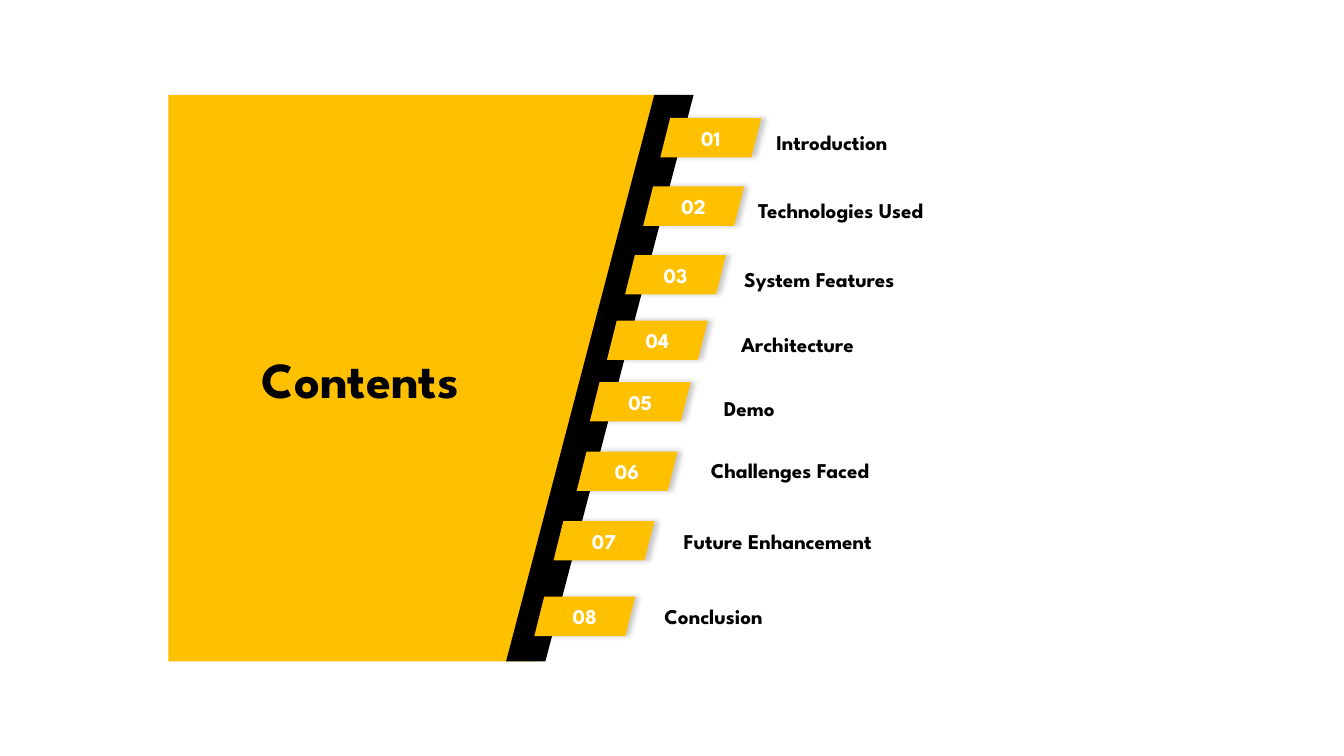
from lxml.etree import SubElement
from pptx import Presentation
from pptx.dml.color import RGBColor as Rgb
from pptx.enum.shapes import MSO_SHAPE as Kind
from pptx.enum.text import MSO_ANCHOR as Anchor, PP_ALIGN as Align
from pptx.oxml.ns import qn
from pptx.util import Pt

PX = 9144  # 100 px to the inch
GOLD, BLACK, WHITE = "FFC000", "000000", "FFFFFF"
FONT = {"name": "League Spartan", "bold": True}
FRAME = {"word_wrap": True, "margin_left": 0, "margin_right": 0,
         "margin_top": 0, "margin_bottom": 0}

# Tag left and top, label left and top, wording
ITEMS = [
    (655, 117, 770, 128, "Introduction"),
    (638, 185, 752, 196, "Technologies Used"),
    (620, 253, 738, 264, "System Features"),
    (602, 318, 735, 329, "Architecture"),
    (585, 379, 718, 392, "Demo"),
    (572, 448, 705, 454, "Challenges Faced"),
    (549, 517, 678, 524, "Future Enhancement"),
    (530, 592, 659, 599, "Conclusion"),
]


def emu(*sizes):
    return [size * PX for size in sizes]


def color(code):
    return Rgb.from_string(code)


def paint(shape, code):
    shape.shadow.inherit = False
    shape.fill.solid()
    shape.fill.fore_color.rgb = color(code)
    shape.line.fill.background()


def write(shape, text, size, code, align, anchor):
    frame = shape.text_frame
    for key, value in {**FRAME, "vertical_anchor": anchor}.items():
        setattr(frame, key, value)
    para = frame.paragraphs[0]
    para.alignment = align
    run = para.add_run()
    run.text = text
    for key, value in {**FONT, "size": Pt(size)}.items():
        setattr(run.font, key, value)
    run.font.color.rgb = color(code)


def outline(slide, points, code):
    pen = slide.shapes.build_freeform(*points[0], scale=PX)
    pen.add_line_segments(points[1:], close=True)
    paint(pen.convert_to_shape(), code)


def shade(shape):
    # Soft shadow to the right
    effects = shape._element.spPr.find(qn("a:effectLst"))
    outer = SubElement(effects, qn("a:outerShdw"), blurRad=str(Pt(4)),
                       dist=str(Pt(3)), dir="0", algn="l", rotWithShape="0")
    tint = SubElement(outer, qn("a:srgbClr"), val=BLACK)
    SubElement(tint, qn("a:alpha"), val="21000")


def panel(slide, x, y, w, h):
    # Slanted gold field with a black band along its right edge
    slant, band, under = 147, 39, 31
    right, low = x + w, y + h
    inner = right - band
    edge = inner + under
    outline(slide, [(x, y), (edge, y), (edge - slant, low), (x, low)], GOLD)
    outline(slide, [(inner, y), (right, y), (right - slant, low),
                    (inner - slant, low)], BLACK)
    # Heading
    title = slide.shapes.add_shape(
        Kind.RECTANGLE, *emu(x + 63, y + 251, 255, 61))
    paint(title, GOLD)
    write(title, "Contents", 36, BLACK, Align.CENTER, Anchor.TOP)


def entry(slide, x, y, left, top, num, text):
    # Number tag
    tag = slide.shapes.add_shape(Kind.PARALLELOGRAM, *emu(x, y, 100, 39))
    paint(tag, GOLD)
    shade(tag)
    write(tag, f"{num:02}", 15, WHITE, Align.CENTER, Anchor.MIDDLE)
    # Topic
    label = slide.shapes.add_textbox(*emu(left, top, 255, 25))
    write(label, text, 15, BLACK, Align.LEFT, Anchor.TOP)


def main():
    deck = Presentation()
    deck.slide_width, deck.slide_height = emu(1333, 750)
    slide = deck.slides.add_slide(deck.slide_layouts[6])
    panel(slide, 167, 94, 521, 562)
    for num, (x, y, left, top, text) in enumerate(ITEMS, 1):
        entry(slide, x, y, left, top, num, text)
    deck.save("out.pptx")


if __name__ == "__main__":
    main()
